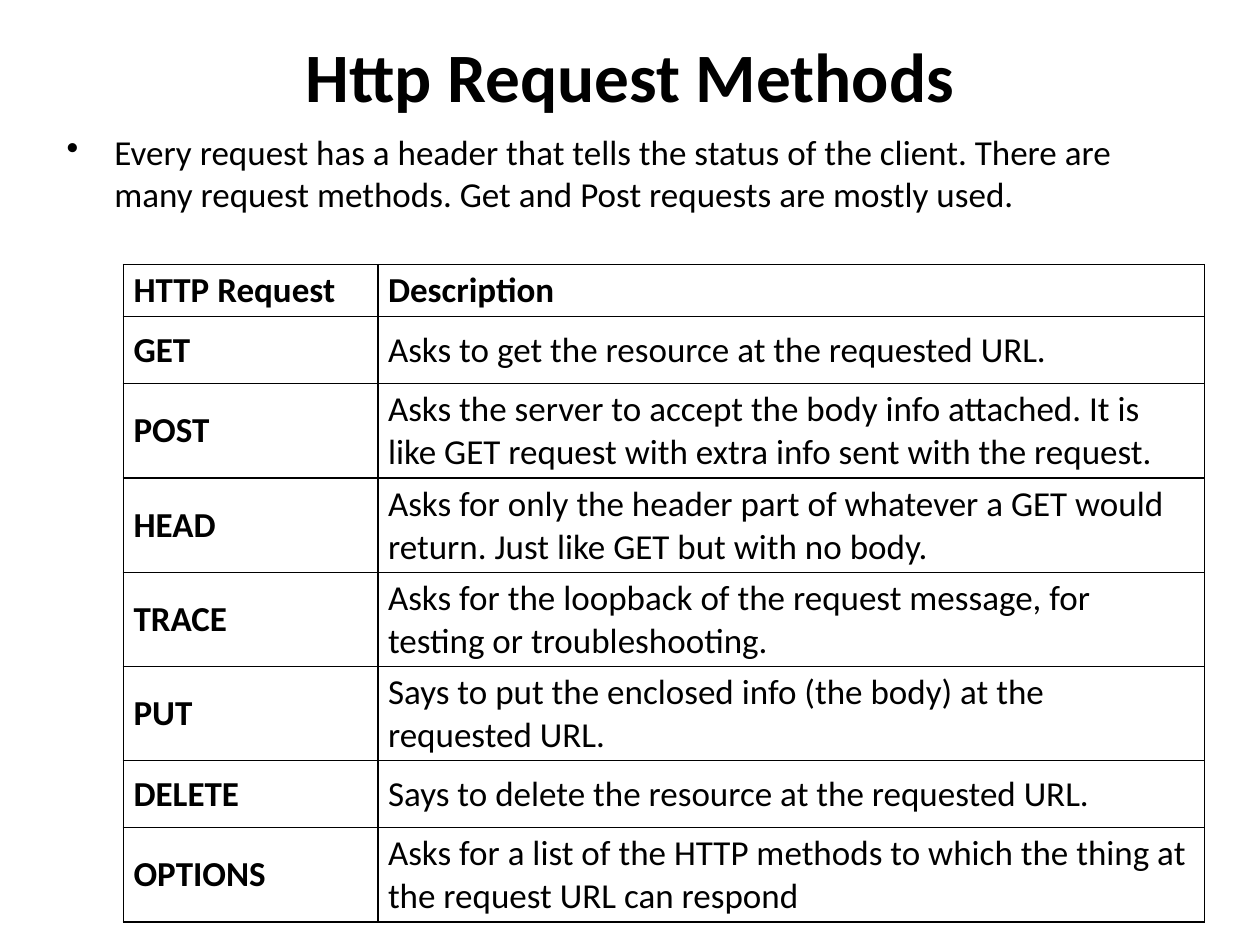
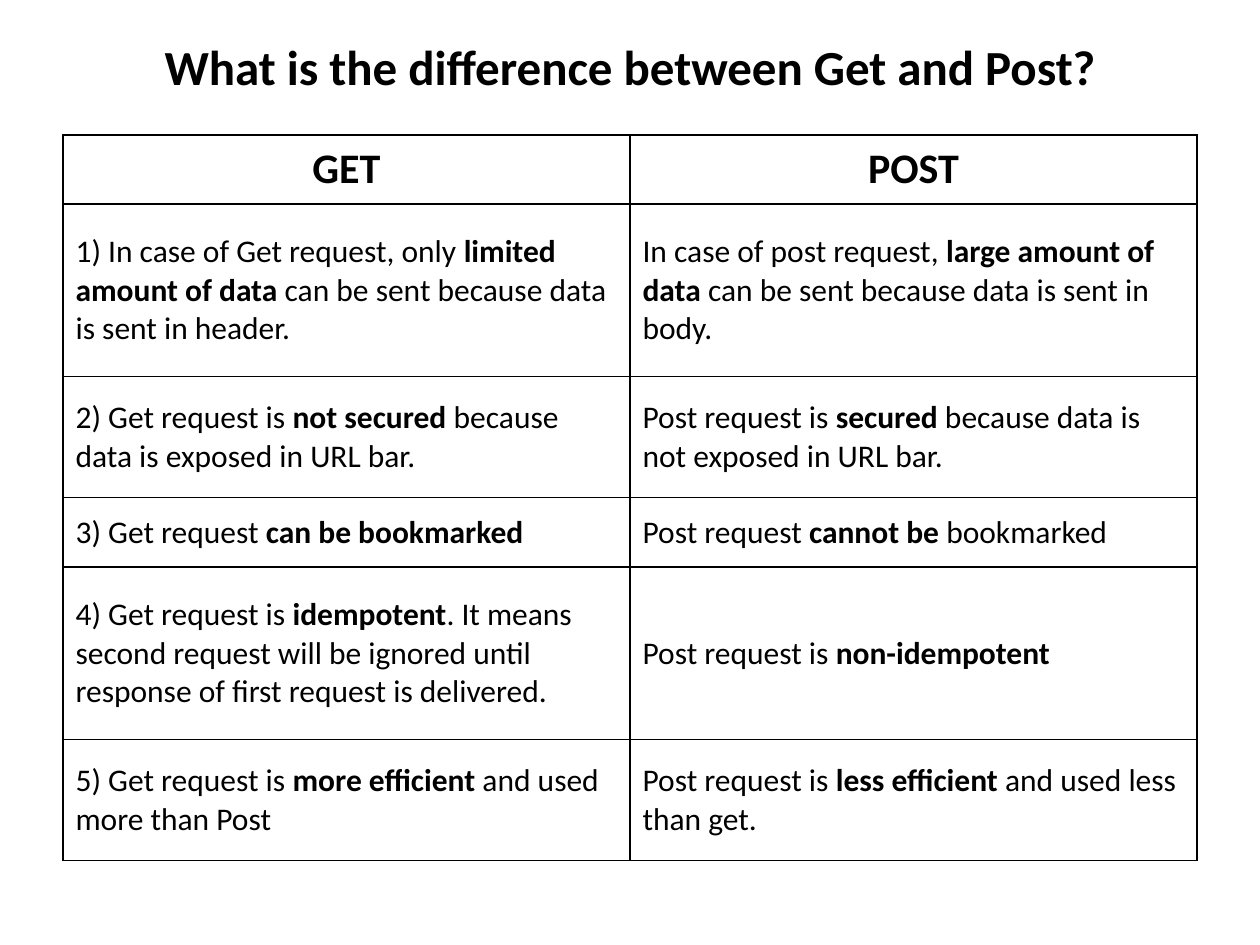
from dataclasses import dataclass

from lxml import etree
from pptx import Presentation
from pptx.dml.color import RGBColor
from pptx.enum.text import MSO_ANCHOR as Anchor, PP_ALIGN as Align
from pptx.oxml.ns import qn
from pptx.util import Inches, Pt


@dataclass(frozen=True)
class Theme:
    font: str = "Calibri"
    ink: str = "000000"
    rule: float = 1
    big_title: float = 39.6
    title: float = 28
    heading: float = 24
    body: float = 20
    detail: float = 18


THEME = Theme()

METHODS = [
    ("HTTP Request", "Description"),
    ("GET", "Asks to get the resource at the requested URL."),
    ("POST", "Asks the server to accept the body info attached. "
             "It is like GET request with extra info sent with the request."),
    ("HEAD", "Asks for only the header part of whatever a GET would return. "
             "Just like GET but with no body."),
    ("TRACE", "Asks for the loopback of the request message, for testing or troubleshooting."),
    ("PUT", "Says to put the enclosed info (the body) at the requested URL."),
    ("DELETE", "Says to delete the resource at the requested URL."),
    ("OPTIONS", "Asks for a list of the HTTP methods to which the thing at "
                "the request URL can respond"),
]

# Text between double asterisks is bold.
DIFFERENCES = [
    ("GET", "POST"),
    ("1) In case of Get request, only **limited amount of data** can be sent "
     "because data is sent in header.",
     "In case of post request, **large amount of data** can be sent "
     "because data is sent in body."),
    ("2) Get request is **not secured** because data is exposed in URL bar.",
     "Post request is **secured** because data is not exposed in URL bar."),
    ("3) Get request **can be bookmarked**",
     "Post request **cannot be** bookmarked"),
    ("4) Get request is **idempotent**. It means second request will be ignored "
     "until response of first request is delivered.",
     "Post request is **non-idempotent**"),
    ("5) Get request is **more efficient** and used more than Post",
     "Post request is **less efficient** and used less than get."),
]


class SlideBuilder:
    def __init__(self, deck, theme):
        self.deck = deck
        self.theme = theme
        self.page = None

    def new_page(self):
        self.page = self.deck.slides.add_slide(self.deck.slide_layouts[6])

    def set_text(self, frame, text, size, bold=False, align=Align.LEFT):
        """Fill the frame's first paragraph; **marked** parts become bold."""
        para = frame.paragraphs[0]
        para.alignment = align
        para.font.name = self.theme.font
        para.font.size = Pt(size)
        para.font.bold = bold
        para.font.color.rgb = RGBColor.from_string(self.theme.ink)
        for index, part in enumerate(text.split("**")):
            if part:
                span = para.add_run()
                span.text = part
                if index % 2:
                    span.font.bold = True
        return para

    def text_frame(self, left, top, width, height):
        box = self.page.shapes.add_textbox(
            Inches(left), Inches(top), Inches(width), Inches(height))
        box.text_frame.word_wrap = True
        return box.text_frame

    def title(self, text, size, height, bottom_inset=0):
        frame = self.text_frame(0.5, 0.3, 9, height)
        frame.vertical_anchor = Anchor.MIDDLE
        frame.margin_bottom = Inches(bottom_inset)
        self.set_text(frame, text, size, bold=True, align=Align.CENTER)

    def bullet(self, text, left, top, width, height):
        frame = self.text_frame(left, top, width, height)
        para = self.set_text(frame, text, self.theme.body)
        para.space_before = Pt(4)
        props = para._p.get_or_add_pPr()
        props.set("marL", str(Inches(0.38)))
        props.set("indent", str(-Inches(0.38)))
        mark = etree.Element(qn("a:buChar"), char="•")
        props.find(qn("a:defRPr")).addprevious(mark)

    def table(self, left, top, widths, heights):
        """Add a plain table and return it, ruled on every side."""
        table = self.page.shapes.add_table(
            len(heights), len(widths), Inches(left), Inches(top),
            Inches(sum(widths)), Inches(sum(heights))).table
        table.first_row = table.horz_banding = False
        for column, width in zip(table.columns, widths):
            column.width = Inches(width)
        for row, height in zip(table.rows, heights):
            row.height = Inches(height)
        for cell in table.iter_cells():
            cell.vertical_anchor = Anchor.MIDDLE
            self.rule(cell)
            cell.fill.background()
        return table

    def rule(self, cell):
        props = cell._tc.get_or_add_tcPr()
        for side in ("lnL", "lnR", "lnT", "lnB"):
            line = etree.SubElement(props, qn(f"a:{side}"), w=str(Pt(self.theme.rule)))
            fill = etree.SubElement(line, qn("a:solidFill"))
            etree.SubElement(fill, qn("a:srgbClr"), val=self.theme.ink)


def request_methods(builder):
    theme = builder.theme
    builder.new_page()
    builder.title("Http Request Methods", theme.big_title, 0.54)
    builder.bullet(
        "Every request has a header that tells the status of the client. There are "
        "many request methods. Get and Post requests are mostly used.",
        0.43, 0.99, 9, 0.79)
    table = builder.table(0.98, 2.1, [2.02, 6.56],
                          [0.38, 0.53, 0.75, 0.75, 0.69, 0.69, 0.53, 0.75])
    for r, texts in enumerate(METHODS):
        for c, text in enumerate(texts):
            cell = table.cell(r, c)
            cell.margin_left = cell.margin_right = Inches(0.08)
            cell.margin_top = cell.margin_bottom = Inches(0.04)
            builder.set_text(cell.text_frame, text, theme.body, bold=r == 0 or c == 0)


def get_and_post(builder):
    theme = builder.theme
    builder.new_page()
    builder.title("What is the difference between Get and Post?",
                  theme.title, 0.85, bottom_inset=0.46)
    one_line, two_lines, three_lines = 0.55, 0.96, 1.37
    table = builder.table(0.5, 1.07, [4.5, 4.5],
                          [one_line, three_lines, two_lines] * 2)
    for r, texts in enumerate(DIFFERENCES):
        for c, text in enumerate(texts):
            frame = table.cell(r, c).text_frame
            if r == 0:
                builder.set_text(frame, text, theme.heading, bold=True, align=Align.CENTER)
            else:
                builder.set_text(frame, text, theme.detail)


def main():
    deck = Presentation()
    deck.slide_width, deck.slide_height = Inches(10), Inches(7.5)
    builder = SlideBuilder(deck, THEME)
    request_methods(builder)
    get_and_post(builder)
    deck.save("out.pptx")


if __name__ == "__main__":
    main()
